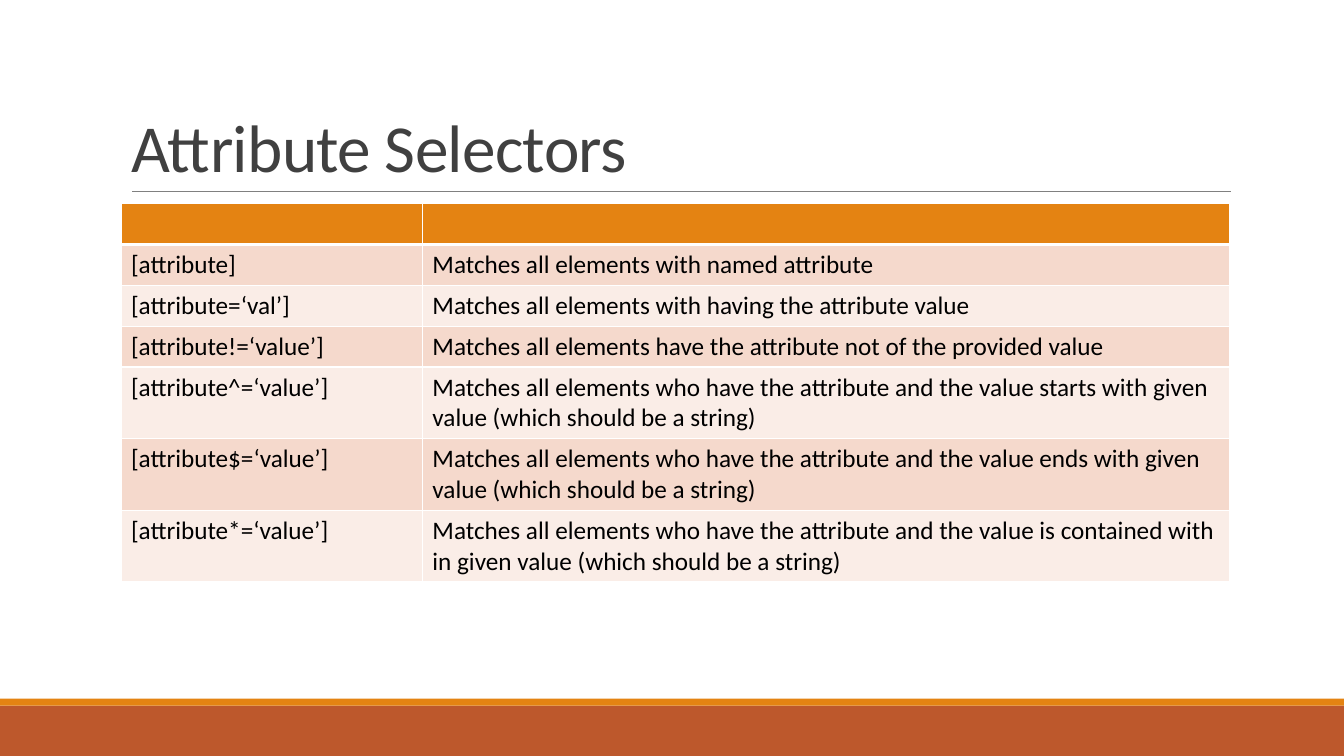
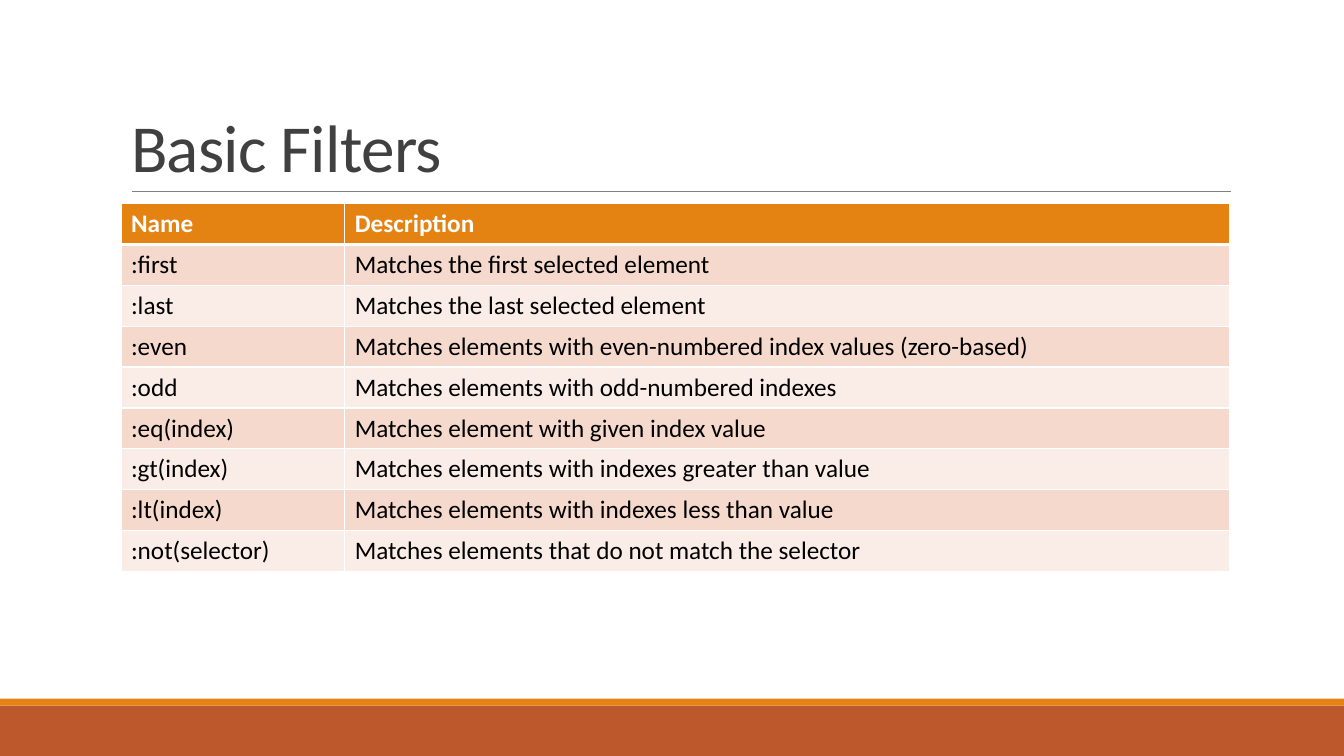
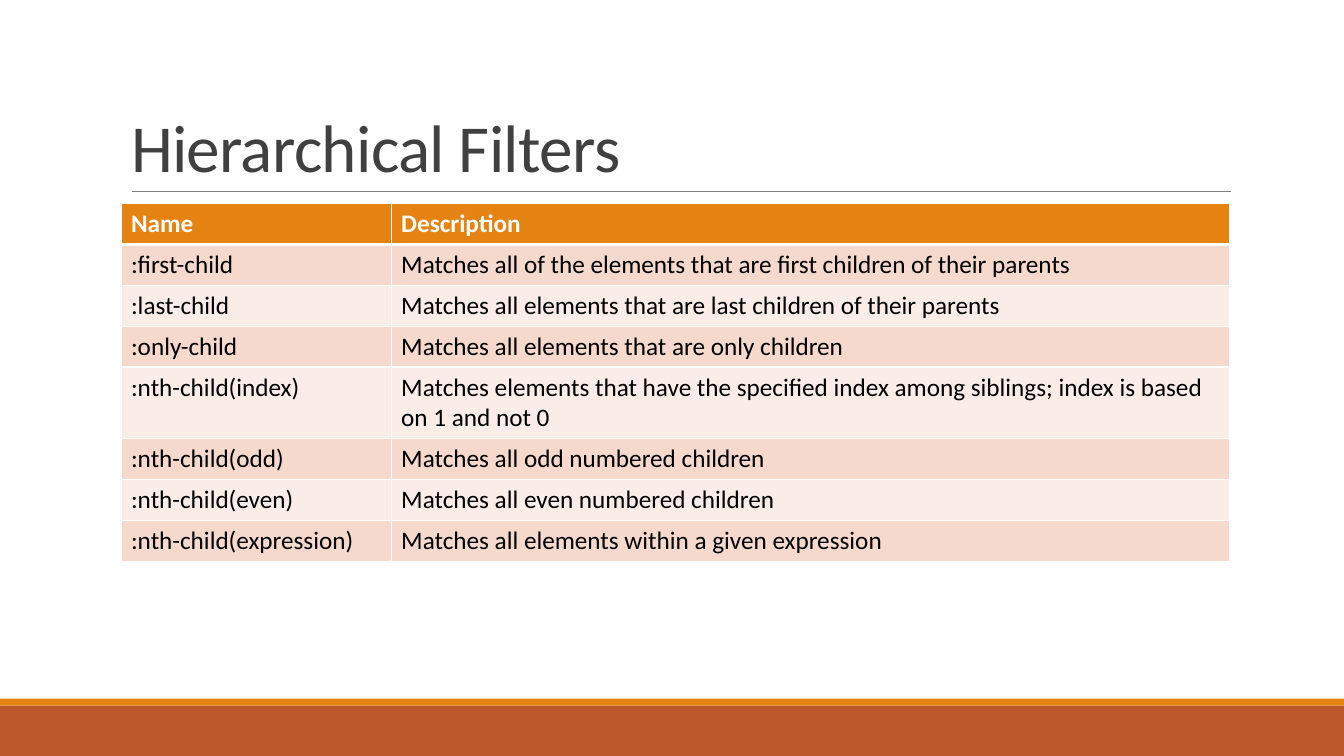
from dataclasses import dataclass

from lxml.etree import SubElement
from pptx import Presentation
from pptx.dml.color import RGBColor
from pptx.enum.shapes import MSO_CONNECTOR, MSO_SHAPE
from pptx.enum.text import MSO_ANCHOR, MSO_AUTO_SIZE, PP_ALIGN
from pptx.oxml.ns import qn
from pptx.util import Inches, Pt

SLIDE_WIDTH = Inches(13.33)
SLIDE_HEIGHT = Inches(7.5)
TITLE_ONLY_LAYOUT = 5


@dataclass(frozen=True)
class Theme:
    font: str = "Calibri"
    title_size: float = 48
    table_size: float = 18
    title_color: str = "404040"
    text_color: str = "000000"
    white: str = "FFFFFF"
    rule_color: str = "808080"
    footer_color: str = "BD582C"
    accent_color: str = "E48312"
    row_colors: tuple = ("F5D9CC", "FAEDE7")
    title_spacing: str = "-50"
    title_line_spacing: float = 0.85
    row_height: float = 29.2
    border_width: float = 1
    header_border_width: float = 3


THEME = Theme()


def across(percent):
    return round(SLIDE_WIDTH * percent / 100)


def down(percent):
    return round(SLIDE_HEIGHT * percent / 100)


CONTENT_LEFT, CONTENT_WIDTH = across(9), across(82.5)
TITLE_TOP, TITLE_HEIGHT = down(4.13), down(21.2)
RULE_LEFT, RULE_RIGHT, RULE_TOP = across(9.83), across(91.6), down(25.33)
TABLE_TOP = down(26.93)
ACCENT_TOP, FOOTER_TOP = down(92.4), down(93.33)

NAME_HEADER = ("Name", "Description")

TABLE_SLIDES = [
    {
        "title": "Attribute Selectors",
        "name_width": 2.99,
        "rows": [
            ("", ""),
            ("[attribute]", "Matches all elements with named attribute"),
            ("[attribute=‘val’]", "Matches all elements with having the attribute value"),
            ("[attribute!=‘value’]",
             "Matches all elements have the attribute not of the provided value"),
            ("[attribute^=‘value’]",
             "Matches all elements who have the attribute and the value starts with "
             "given value (which should be a string)"),
            ("[attribute$=‘value’]",
             "Matches all elements who have the attribute and the value ends with "
             "given value (which should be a string)"),
            ("[attribute*=‘value’]",
             "Matches all elements who have the attribute and the value is contained "
             "with in given value (which should be a string)"),
        ],
    },
    {
        "title": "Basic Filters",
        "name_width": 2.22,
        "rows": [
            NAME_HEADER,
            (":first", "Matches the first selected element"),
            (":last", "Matches the last selected element"),
            (":even", "Matches elements with even-numbered index values (zero-based)"),
            (":odd", "Matches elements with odd-numbered indexes"),
            (":eq(index)", "Matches element with given index value"),
            (":gt(index)", "Matches elements with indexes greater than value"),
            (":lt(index)", "Matches elements with indexes less than value"),
            (":not(selector)", "Matches elements that do not match the selector"),
        ],
    },
    {
        "title": "Hierarchical Filters",
        "name_width": 2.68,
        "rows": [
            NAME_HEADER,
            (":first-child",
             "Matches all of the elements that are first children of their parents"),
            (":last-child", "Matches all elements that are last children of their parents"),
            (":only-child", "Matches all elements that are only children"),
            (":nth-child(index)",
             "Matches elements that have the specified index among siblings; "
             "index is based on 1 and not 0"),
            (":nth-child(odd)", "Matches all odd numbered children"),
            (":nth-child(even)", "Matches all even numbered children"),
            (":nth-child(expression)", "Matches all elements within a given expression"),
        ],
    },
]


def set_attributes(target, values):
    for name, value in values.items():
        setattr(target, name, value)


def add_run(paragraph, text, color, size, bold=False):
    run = paragraph.add_run()
    run.text = text
    set_attributes(run.font, {"name": THEME.font, "size": Pt(size), "bold": bold})
    run.font.color.rgb = RGBColor.from_string(color)
    return run


def add_band(slide, top, bottom, color):
    band = slide.shapes.add_shape(MSO_SHAPE.RECTANGLE, 0, top, SLIDE_WIDTH, bottom - top)
    band.shadow.inherit = False
    band.fill.solid()
    band.fill.fore_color.rgb = RGBColor.from_string(color)
    band.line.fill.background()
    return band


def add_title_rule(slide):
    rule = slide.shapes.add_connector(
        MSO_CONNECTOR.STRAIGHT, RULE_LEFT, RULE_TOP, RULE_RIGHT, RULE_TOP)
    rule.line.color.rgb = RGBColor.from_string(THEME.rule_color)
    rule.line.width = Pt(0.5)
    SubElement(rule.element.spPr, qn("a:effectLst"))
    return rule


def prepare_layout(layout):
    """Place the title and drop the date, footer and number placeholders."""
    for placeholder in list(layout.placeholders):
        if placeholder.placeholder_format.idx:
            placeholder.element.getparent().remove(placeholder.element)
        else:
            set_attributes(placeholder, {
                "left": CONTENT_LEFT, "top": TITLE_TOP,
                "width": CONTENT_WIDTH, "height": TITLE_HEIGHT})


def decorate_layout(layout, slide):
    """Draw the bands and the rule on a slide, then move them to its layout."""
    decorations = [
        add_band(slide, FOOTER_TOP, SLIDE_HEIGHT, THEME.footer_color),
        add_band(slide, ACCENT_TOP, FOOTER_TOP, THEME.accent_color),
        add_title_rule(slide),
    ]
    for shape in decorations:
        layout.shapes.element.append(shape.element)


def set_title(slide, text):
    frame = slide.shapes.title.text_frame
    set_attributes(frame, {
        "word_wrap": True, "auto_size": MSO_AUTO_SIZE.NONE,
        "vertical_anchor": MSO_ANCHOR.BOTTOM})
    paragraph = frame.paragraphs[0]
    set_attributes(paragraph, {
        "alignment": PP_ALIGN.LEFT, "line_spacing": THEME.title_line_spacing})
    run = add_run(paragraph, text, THEME.title_color, THEME.title_size)
    run.font._element.set("spc", THEME.title_spacing)


def set_borders(cell, top_width, bottom_width):
    properties = cell._tc.get_or_add_tcPr()
    widths = {"lnL": THEME.border_width, "lnR": THEME.border_width,
              "lnT": top_width, "lnB": bottom_width}
    for side, width in widths.items():
        line = SubElement(properties, qn(f"a:{side}"), w=str(Pt(width)))
        fill = SubElement(line, qn("a:solidFill"))
        SubElement(fill, qn("a:srgbClr"), val=THEME.white)


def format_cell(cell, text, row_index):
    is_header = row_index == 0
    set_borders(
        cell,
        THEME.header_border_width if row_index == 1 else THEME.border_width,
        THEME.header_border_width if is_header else THEME.border_width)
    color = THEME.accent_color if is_header else THEME.row_colors[(row_index - 1) % 2]
    cell.fill.solid()
    cell.fill.fore_color.rgb = RGBColor.from_string(color)
    if text:
        text_color = THEME.white if is_header else THEME.text_color
        add_run(cell.text_frame.paragraphs[0], text, text_color,
                THEME.table_size, bold=is_header)


def add_selector_table(slide, rows, name_width):
    table = slide.shapes.add_table(
        len(rows), 2, CONTENT_LEFT, TABLE_TOP, CONTENT_WIDTH,
        Pt(THEME.row_height) * len(rows)).table
    table.columns[0].width = Inches(name_width)
    table.columns[1].width = CONTENT_WIDTH - Inches(name_width)
    for row_index, texts in enumerate(rows):
        for column_index, text in enumerate(texts):
            format_cell(table.cell(row_index, column_index), text, row_index)


def main():
    presentation = Presentation()
    set_attributes(presentation, {"slide_width": SLIDE_WIDTH, "slide_height": SLIDE_HEIGHT})
    layout = presentation.slide_layouts[TITLE_ONLY_LAYOUT]
    prepare_layout(layout)
    for index, content in enumerate(TABLE_SLIDES):
        slide = presentation.slides.add_slide(layout)
        if index == 0:
            decorate_layout(layout, slide)
        set_title(slide, content["title"])
        add_selector_table(slide, content["rows"], content["name_width"])
    presentation.save("out.pptx")


if __name__ == "__main__":
    main()
